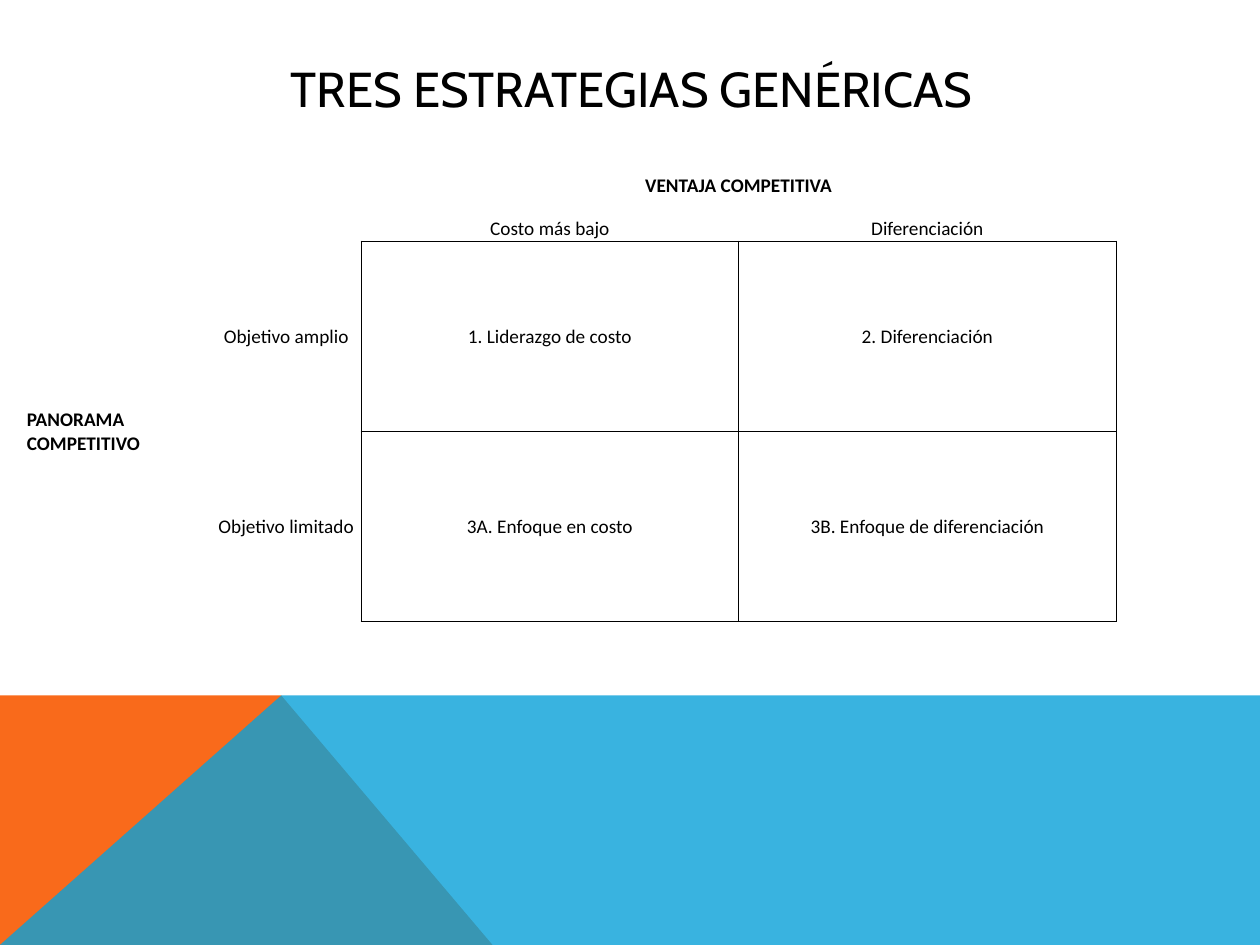
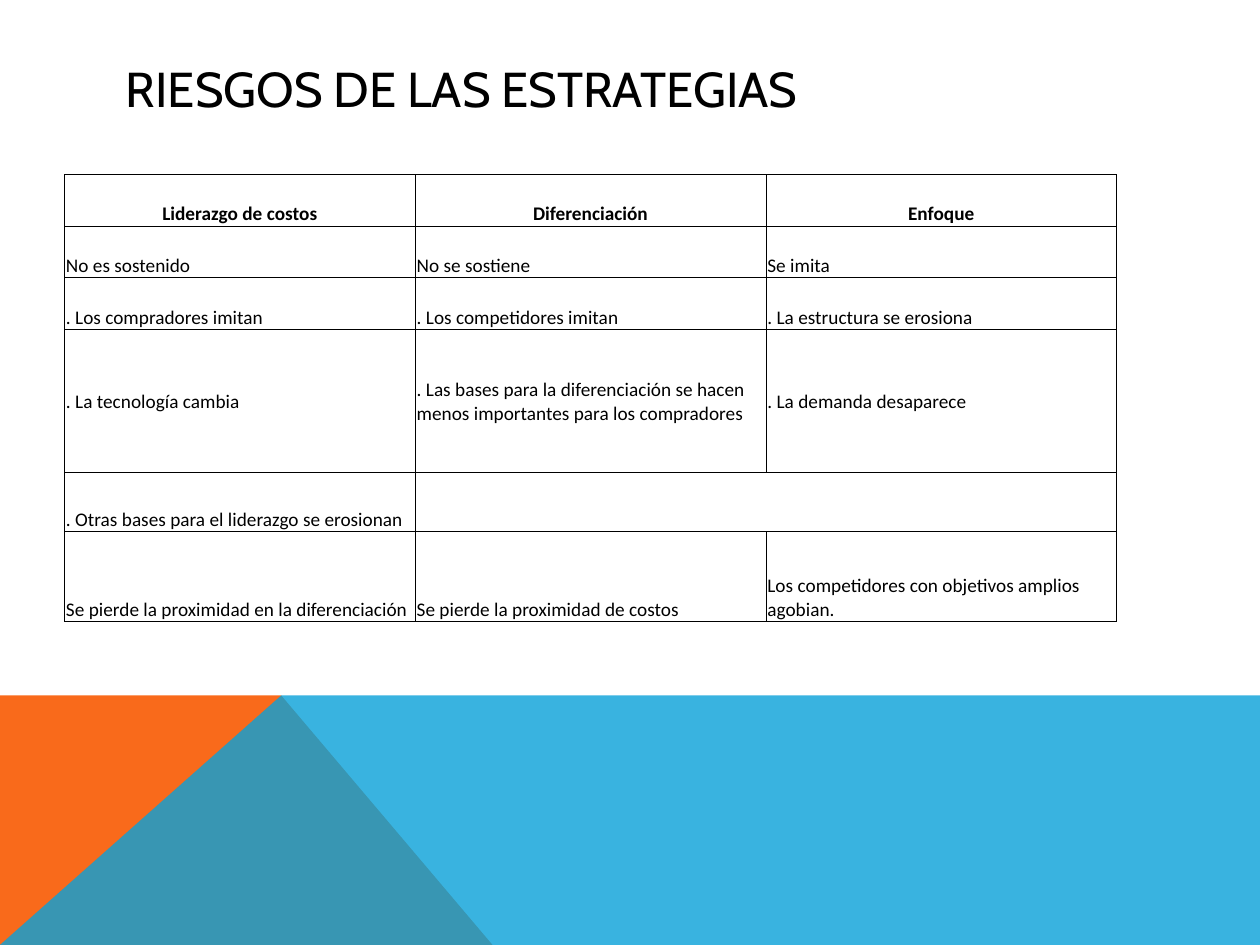
import pptx
import pptx.util
import pptx.dml.color
import pptx.enum.text
import pptx.oxml
import pptx.oxml.ns
from dataclasses import dataclass

Cm = pptx.util.Cm
Pt = pptx.util.Pt
ALIGN = pptx.enum.text.PP_ALIGN
ANCHOR = pptx.enum.text.MSO_ANCHOR
LEFT, MID = ALIGN.LEFT, ALIGN.CENTER
LOW, HALF = ANCHOR.BOTTOM, ANCHOR.MIDDLE


@dataclass(frozen=True)
class Theme:
    ink: str = "000000"
    warm: str = "F96A1B"
    cool: str = "08A1D9"
    cover: int = 80
    head: str = "Cabin"
    body: str = "Calibri"
    big: float = 28
    small: float = 11
    rule: float = 0.5
    wide: float = 25.4
    high: float = 19.05
    bare: str = "{2D5ABB26-0587-4C30-8999-92F81FD0307C}"


THEME = Theme()


def color(code):
    return pptx.dml.color.RGBColor.from_string(code)


def add_run(para, text, font, size, bold=False):
    run = para.add_run()
    run.text = text
    run.font.name = font
    run.font.size = Pt(size)
    run.font.bold = bold
    run.font.color.rgb = color(THEME.ink)


def add_wedge(slide, points, code, cover=100):
    spots = [(Cm(x), Cm(y)) for x, y in points]
    pen = slide.shapes.build_freeform(*spots[0])
    pen.add_line_segments(spots[1:], close=True)
    wedge = pen.convert_to_shape()
    wedge.shadow.inherit = False
    wedge.line.fill.background()
    wedge.fill.solid()
    wedge.fill.fore_color.rgb = color(code)
    if cover < 100:
        tint = wedge.fill._xPr.find(".//" + pptx.oxml.ns.qn("a:srgbClr"))
        alpha = tint.makeelement(pptx.oxml.ns.qn("a:alpha"), {"val": str(cover * 1000)})
        tint.append(alpha)


def add_band(slide):
    top, peak, foot = 14.02, 5.67, 9.93
    base = THEME.high
    add_wedge(slide, [(0, base), (0, top), (peak, top), (foot, base)], THEME.warm)
    add_wedge(slide, [(0, base), (peak, top), (THEME.wide, top), (THEME.wide, base)],
              THEME.cool, THEME.cover)


def add_title(slide, text, align):
    box = slide.shapes.add_textbox(Cm(2.29), Cm(1.02), Cm(20.88), Cm(1.52))
    frame = box.text_frame
    frame.word_wrap = True
    frame.vertical_anchor = HALF
    para = frame.paragraphs[0]
    para.alignment = align
    add_run(para, text, THEME.head, THEME.big)


def add_edges(cell, sides):
    props = cell._tc.get_or_add_tcPr()
    space = pptx.oxml.ns.nsdecls("a")
    for side in sides:
        props.append(pptx.oxml.parse_xml(
            f'<a:ln{side} {space} w="{Pt(THEME.rule)}"><a:solidFill>'
            f'<a:srgbClr val="{THEME.ink}"/></a:solidFill></a:ln{side}>'))


def add_grid(slide, left, top, cols, rows):
    frame = slide.shapes.add_table(len(rows), len(cols), Cm(left), Cm(top),
                                   Cm(sum(cols)), Cm(sum(rows)))
    grid = frame.table
    grid.first_row = grid.horz_banding = False
    grid._tbl.tblPr.find(pptx.oxml.ns.qn("a:tableStyleId")).text = THEME.bare
    for col, width in zip(grid.columns, cols):
        col.width = Cm(width)
    for row, height in zip(grid.rows, rows):
        row.height = Cm(height)
    return grid


def fill_cell(cell, text, align, anchor, bold, sides):
    cell.margin_left = cell.margin_right = cell.margin_top = Cm(0.03)
    cell.margin_bottom = 0
    cell.vertical_anchor = anchor
    add_edges(cell, sides)
    cell.fill.background()
    para = cell.text_frame.paragraphs[0]
    para.alignment = align
    if text:
        add_run(para, text, THEME.body, THEME.small, bold)
    else:
        para._p.get_or_add_endParaRPr().set("sz", str(THEME.small * 100))


def add_matrix(slide):
    texts = [
        ["", "", "VENTAJA COMPETITIVA", ""],
        ["", "", "Costo más bajo", "Diferenciación"],
        ["PANORAMA COMPETITIVO", "Objetivo amplio",
         "1. Liderazgo de costo", "2. Diferenciación"],
        ["", "Objetivo limitado",
         "3A. Enfoque en costo", "3B. Enfoque de diferenciación"],
    ]
    grid = add_grid(slide, 0.51, 3.12, [3.75, 3.02] + [7.61] * 2,
                    [0.87] * 2 + [3.83] * 2)
    grid.cell(0, 2).merge(grid.cell(0, 3))
    grid.cell(2, 0).merge(grid.cell(3, 0))
    for r, line in enumerate(texts):
        for c, text in enumerate(line):
            inner = r > 1 and c > 1
            fill_cell(grid.cell(r, c), text, MID if c else LEFT,
                      HALF if r > 1 else LOW, r == 0 or c == 0,
                      "LRTB" if inner else "")


def add_risks(slide):
    texts = [
        ["Liderazgo de costos", "Diferenciación", "Enfoque"],
        ["No es sostenido", "No se sostiene", "Se imita"],
        [". Los compradores imitan", ". Los competidores imitan",
         ". La estructura se erosiona"],
        [". La tecnología cambia",
         ". Las bases para la diferenciación se hacen menos importantes para los compradores",
         ". La demanda desaparece"],
        [". Otras bases para el liderazgo se erosionan", "", ""],
        ["Se pierde la proximidad en la diferenciación",
         "Se pierde la proximidad de costos",
         "Los competidores con objetivos amplios agobian."],
    ]
    grid = add_grid(slide, 1.3, 3.52, [7.07] * 3, [1.04] * 3 + [2.89, 1.19, 1.81])
    grid.cell(4, 1).merge(grid.cell(4, 2))
    for r, line in enumerate(texts):
        for c, text in enumerate(line):
            cell = grid.cell(r, c)
            fill_cell(cell, text, LEFT if r else MID, HALF if r == 3 else LOW,
                      r == 0, "RTB" if cell.is_spanned else "LRTB")


def main():
    deck = pptx.Presentation()
    deck.slide_width = Cm(THEME.wide)
    deck.slide_height = Cm(THEME.high)
    pages = [
        ("TRES ESTRATEGIAS GENÉRICAS", MID, add_matrix),
        ("RIESGOS DE LAS ESTRATEGIAS", LEFT, add_risks),
    ]
    for title, align, add_body in pages:
        slide = deck.slides.add_slide(deck.slide_layouts[6])
        add_band(slide)
        add_title(slide, title, align)
        add_body(slide)
    deck.save("out.pptx")


if __name__ == "__main__":
    main()
